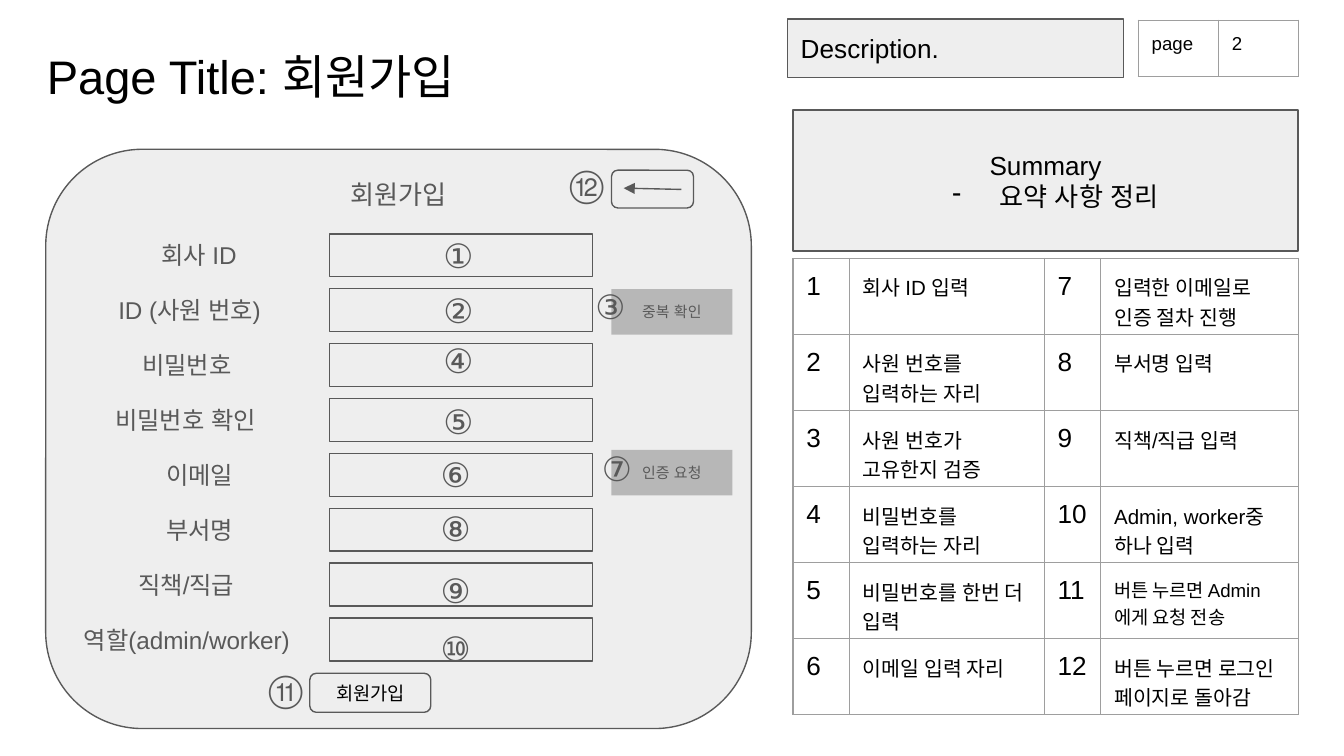
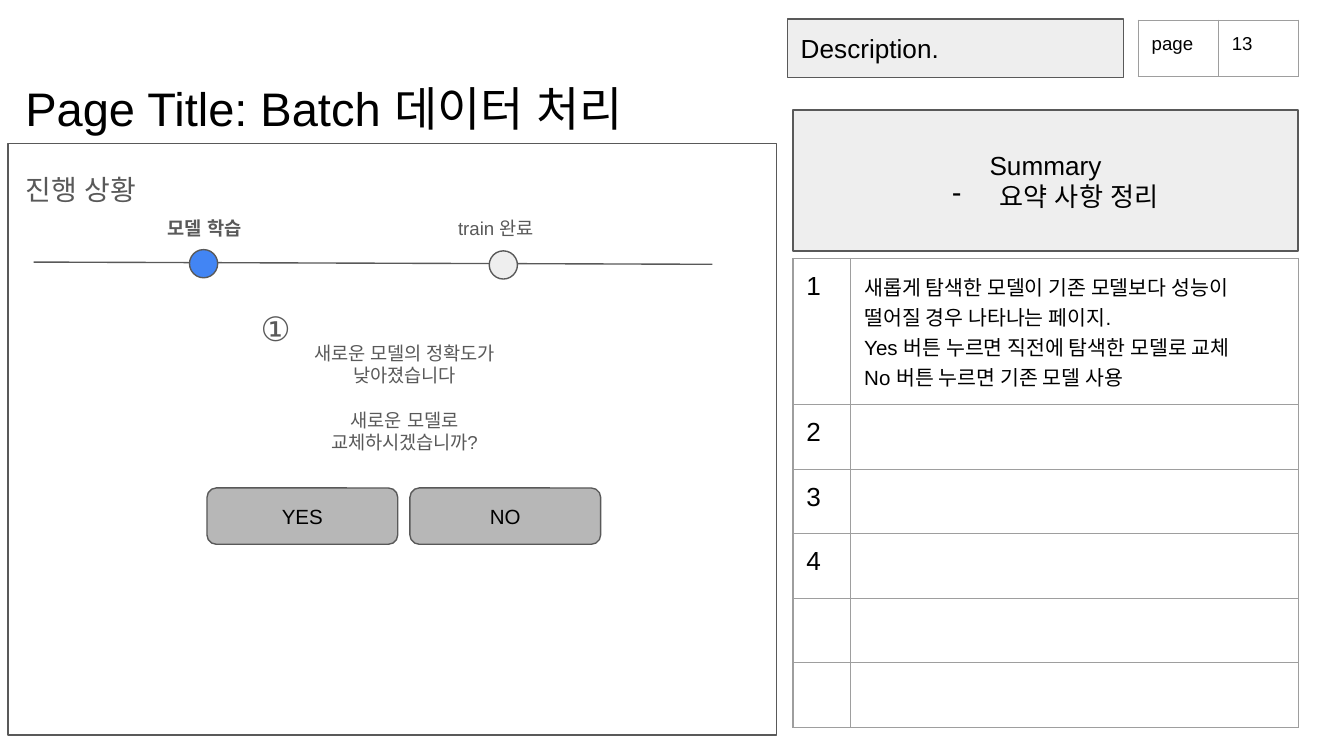
"""Build two annotated wireframe slides with a shared description panel."""
from dataclasses import dataclass
from typing import Any, NamedTuple, Optional

from lxml import etree
from pptx import Presentation
from pptx import util as u
from pptx.dml.color import RGBColor
from pptx.enum import shapes, text
from pptx.oxml import ns
from pptx.slide import Slide

COLORS = {
    "ink": "000000",
    "muted": "595959",
    "panel": "EEEEEE",
    "button": "B7B7B7",
    "grid": "9E9E9E",
    "paper": "FFFFFF",
    "active": "4285F4",
}
FONT = "Arial"
INSET = u.Pt(7.2)
STROKE = u.Pt(0.75)
CENTER = text.PP_ALIGN.CENTER
LEFT = text.PP_ALIGN.LEFT
TOP = text.MSO_ANCHOR.TOP
MIDDLE = text.MSO_ANCHOR.MIDDLE
KIND = shapes.MSO_SHAPE
MARGINS = {f"margin_{side}": INSET for side in ("left", "right", "top", "bottom")}
FRAME_FORMAT = {**MARGINS, "word_wrap": True, "auto_size": text.MSO_AUTO_SIZE.NONE}


class Area(NamedTuple):
    left: float
    top: float
    width: float
    height: float

    def lengths(self) -> list[u.Length]:
        return [u.Pt(value) for value in self]


class Badge(NamedTuple):
    sign: str
    left: float
    top: float


class Field(NamedTuple):
    label: str
    left: float
    width: float


@dataclass(frozen=True)
class Style:
    size: float
    color: str = "muted"
    align: Any = CENTER
    anchor: Any = TOP
    bold: bool = False
    gap: float = 0


@dataclass(frozen=True)
class Box:
    area: Area
    kind: Any = KIND.RECTANGLE
    fill: str = "panel"
    line: Optional[str] = "muted"
    words: str = ""
    style: Style = Style(10)


@dataclass(frozen=True)
class Grid:
    left: float
    top: float
    columns: tuple[float, ...]
    rows: tuple[float, ...]
    cells: tuple[tuple[str, ...], ...]
    sizes: tuple[float, ...]
    bottom: u.Length = INSET


LABEL = Style(13)
BADGE = Style(18, align=LEFT)
SMALL = Style(8)
HEADING = Style(14, "ink", anchor=MIDDLE)
BUTTON = Style(11, "ink", anchor=MIDDLE)

FIELDS = (
    Field("회사 ID", 41.8, 129.6),
    Field("ID (사원 번호)", 36.7, 129.6),
    Field("비밀번호", 49.7, 100.8),
    Field("비밀번호 확인", 36, 126.7),
    Field("이메일", 67.7, 78.5),
    Field("부서명", 67.7, 78.5),
    Field("직책/직급", 51.1, 97.2),
    Field("역할(admin/worker)", 10.1, 180),
)
FIELD_STEP = 29.4
SIGN_UP_BADGES = (
    Badge("①", 230.4, 118.8),
    Badge("②", 230.4, 148.3),
    Badge("④", 230.4, 175),
    Badge("⑤", 230.4, 207.4),
    Badge("⑥", 229, 236.2),
    Badge("⑧", 229, 265),
    Badge("⑨", 229, 298),
    Badge("⑩", 229, 329),
    Badge("③", 311.8, 146.2),
    Badge("⑦", 315.4, 232.6),
    Badge("⑪", 136.8, 350.6),
    Badge("⑫", 298, 80),
)
SIGN_UP_NOTES = (
    ("1", "회사 ID 입력", "7", "입력한 이메일로 인증 절차 진행"),
    ("2", "사원 번호를 입력하는 자리", "8", "부서명 입력"),
    ("3", "사원 번호가 고유한지 검증", "9", "직책/직급 입력"),
    ("4", "비밀번호를 입력하는 자리", "10", "Admin, worker중 하나 입력"),
    ("5", "비밀번호를 한번 더 입력", "11", "버튼 누르면 Admin에게 요청 전송"),
    ("6", "이메일 입력 자리", "12", "버튼 누르면 로그인 페이지로 돌아감"),
)
BATCH_NOTES = (
    ("1", "새롭게 탐색한 모델이 기존 모델보다 성능이 떨어질 경우 나타나는 페이지.\n"
          "Yes 버튼 누르면 직전에 탐색한 모델로 교체\n"
          "No 버튼 누르면 기존 모델 사용"),
    ("2", ""), ("3", ""), ("4", ""), ("", ""), ("", ""),
)


def rgb(name: str) -> RGBColor:
    return RGBColor.from_string(COLORS[name])


def assign(target: Any, formats: dict[str, Any]) -> None:
    for name, value in formats.items():
        setattr(target, name, value)


def add_color(parent: Any, tag: str, name: str) -> None:
    holder = etree.SubElement(parent, ns.qn(tag))
    etree.SubElement(holder, ns.qn("a:srgbClr"), val=COLORS[name])


def write(frame: Any, words: str, style: Style, east_asian: bool = True) -> None:
    for index, line in enumerate(words.split("\n")):
        paragraph = frame.add_paragraph() if index else frame.paragraphs[0]
        assign(paragraph, {"alignment": style.align,
                           "space_before": u.Pt(style.gap if index else 0)})
        run = paragraph.add_run()
        run.text = line
        assign(run.font, {"name": FONT, "size": u.Pt(style.size), "bold": style.bold})
        run.font.color.rgb = rgb(style.color)
        if east_asian:
            etree.SubElement(run._r.get_or_add_rPr(), ns.qn("a:ea"), typeface=FONT)


def write_shape(shape: Any, words: str, style: Style) -> None:
    assign(shape.text_frame, {**FRAME_FORMAT, "vertical_anchor": style.anchor})
    write(shape.text_frame, words, style)


def add_text(slide: Slide, area: Area, words: str, style: Style) -> None:
    write_shape(slide.shapes.add_textbox(*area.lengths()), words, style)


def add_box(slide: Slide, box: Box) -> Any:
    shape = slide.shapes.add_shape(box.kind, *box.area.lengths())
    shape.shadow.inherit = False
    shape.fill.solid()
    shape.fill.fore_color.rgb = rgb(box.fill)
    if box.line:
        shape.line.color.rgb = rgb(box.line)
        shape.line.width = STROKE
    else:
        shape.line.fill.background()
    if box.words:
        write_shape(shape, box.words, box.style)
    return shape


def add_badge(slide: Slide, badge: Badge) -> None:
    add_text(slide, Area(badge.left, badge.top, 32.4, 36), badge.sign, BADGE)


def add_line(slide: Slide, start: tuple[float, float], end: tuple[float, float],
             arrow: bool = False) -> None:
    points = [u.Pt(value) for value in start + end]
    connector = slide.shapes.add_connector(shapes.MSO_CONNECTOR.STRAIGHT, *points)
    connector.line.color.rgb = rgb("muted")
    connector.line.width = STROKE
    if arrow:
        etree.SubElement(connector.line._get_or_add_ln(), ns.qn("a:tailEnd"), type="triangle")
    etree.SubElement(connector._element.spPr, ns.qn("a:effectLst"))


def add_borders(cell: Any) -> None:
    properties = cell._tc.get_or_add_tcPr()
    for index, side in enumerate("LRTB"):
        line = etree.Element(ns.qn(f"a:ln{side}"), w=str(int(STROKE)))
        add_color(line, "a:solidFill", "grid")
        properties.insert(index, line)


def add_grid(slide: Slide, grid: Grid) -> None:
    area = Area(grid.left, grid.top, sum(grid.columns), sum(grid.rows))
    table = slide.shapes.add_table(len(grid.rows), len(grid.columns), *area.lengths()).table
    assign(table, {"first_row": False, "horz_banding": False})
    for column, width in zip(table.columns, grid.columns):
        column.width = u.Pt(width)
    for row, height, entries in zip(table.rows, grid.rows, grid.cells):
        row.height = u.Pt(height)
        for cell, words, size in zip(row.cells, entries, grid.sizes):
            assign(cell, {**MARGINS, "margin_bottom": grid.bottom})
            cell.fill.background()
            add_borders(cell)
            fitted = 10 if words.startswith("버튼 누르면 Admin") else size
            write(cell.text_frame, words, Style(fitted, "ink", LEFT), east_asian=False)


def add_summary(slide: Slide) -> None:
    shape = add_box(slide, Box(Area(424.8, 59, 270.7, 75.6),
                               words="Summary\n요약 사항 정리", style=HEADING))
    properties = shape.text_frame.paragraphs[1]._p.get_or_add_pPr()
    properties.set("marL", str(int(u.Pt(36))))
    properties.set("indent", str(int(u.Pt(-25.2))))
    add_color(properties, "a:buClr", "ink")
    etree.SubElement(properties, ns.qn("a:buChar"), char="-")


def add_page(presentation: Any, title: str, title_area: Area, number: str, notes: Grid) -> Slide:
    slide = presentation.slides.add_slide(presentation.slide_layouts[6])
    add_text(slide, title_area, f"Page Title: {title}", Style(25.2, "ink", LEFT))
    add_box(slide, Box(Area(421.9, 10.1, 180, 31.5), words="Description.",
                       style=Style(14, "ink", LEFT, MIDDLE)))
    add_grid(slide, Grid(609.8, 10.8, (42.9, 42.9), (30.2,), (("page", number),), (10, 10)))
    add_summary(slide)
    add_grid(slide, notes)
    return slide


def build_sign_up(presentation: Any) -> None:
    notes = Grid(424.8, 138.5, (30.3, 104.3, 30.3, 106), (40.75,) * 6,
                 SIGN_UP_NOTES, (14, 11, 14, 11), u.Pt(0))
    slide = add_page(presentation, "회원가입", Area(18, 18, 671, 45.4), "2", notes)
    add_box(slide, Box(Area(24.5, 80, 378, 310.3), KIND.ROUNDED_RECTANGLE))
    add_text(slide, Area(177.8, 88.6, 71.3, 31.7), "회원가입", Style(14))
    for index, field in enumerate(FIELDS):
        offset = index * FIELD_STEP
        add_text(slide, Area(field.left, 121.7 + offset, field.width, 30.2), field.label, LABEL)
        add_box(slide, Box(Area(176.4, 125.3 + offset, 141.1, 23)))
    for words, top in (("중복 확인", 154.9), ("인증 요청", 241)):
        add_box(slide, Box(Area(327.6, top, 64.8, 24.4), fill="button", line=None,
                           words=words, style=SMALL))
    add_box(slide, Box(Area(166, 360.7, 64.8, 20.9), KIND.ROUNDED_RECTANGLE,
                       words="회원가입", style=Style(10, "ink", anchor=MIDDLE)))
    add_box(slide, Box(Area(327.6, 91.2, 43.9, 20.2), KIND.ROUNDED_RECTANGLE))
    add_line(slide, (365, 101.5), (334.1, 100.8), arrow=True)
    for badge in SIGN_UP_BADGES:
        add_badge(slide, badge)


def build_batch(presentation: Any) -> None:
    notes = Grid(424.8, 138.5, (31, 239.8), (37.4,) + (34.5,) * 5, BATCH_NOTES, (14, 11))
    slide = add_page(presentation, "Batch 데이터 처리", Area(6.5, 35.3, 671, 45.4), "13", notes)
    add_box(slide, Box(Area(4.3, 77, 411.8, 316.8), fill="paper"))
    add_text(slide, Area(6.5, 85, 317.5, 32.4), "진행 상황", Style(15, align=LEFT))
    add_line(slide, (18, 140.4), (381.6, 141.6))
    for words, left, dot_left, dot_top, fill, bold in (
        ("모델 학습", 82.8, 101.5, 133.7, "active", True),
        ("train 완료", 238.3, 262.1, 134.4, "panel", False),
    ):
        add_box(slide, Box(Area(dot_left, dot_top, 15.1, 15.1), KIND.OVAL, fill))
        add_text(slide, Area(left, 110.9, 63.4, 23), words, Style(10, "muted", LEFT, MIDDLE, bold))
    add_text(slide, Area(145.4, 175.7, 142.6, 74.9),
             "새로운 모델의 정확도가 낮아졌습니다\n새로운 모델로 교체하시겠습니까?",
             Style(10, gap=12))
    for words, left in (("YES", 110.9), ("NO", 219.6)):
        add_box(slide, Box(Area(left, 261.4, 102.2, 30.2), KIND.ROUNDED_RECTANGLE,
                           "button", words=words, style=BUTTON))
    add_badge(slide, Badge("①", 132.5, 157.7))


def main() -> None:
    presentation = Presentation()
    assign(presentation, {"slide_width": u.Pt(720), "slide_height": u.Pt(405)})
    build_sign_up(presentation)
    build_batch(presentation)
    presentation.save("out.pptx")


if __name__ == "__main__":
    main()
